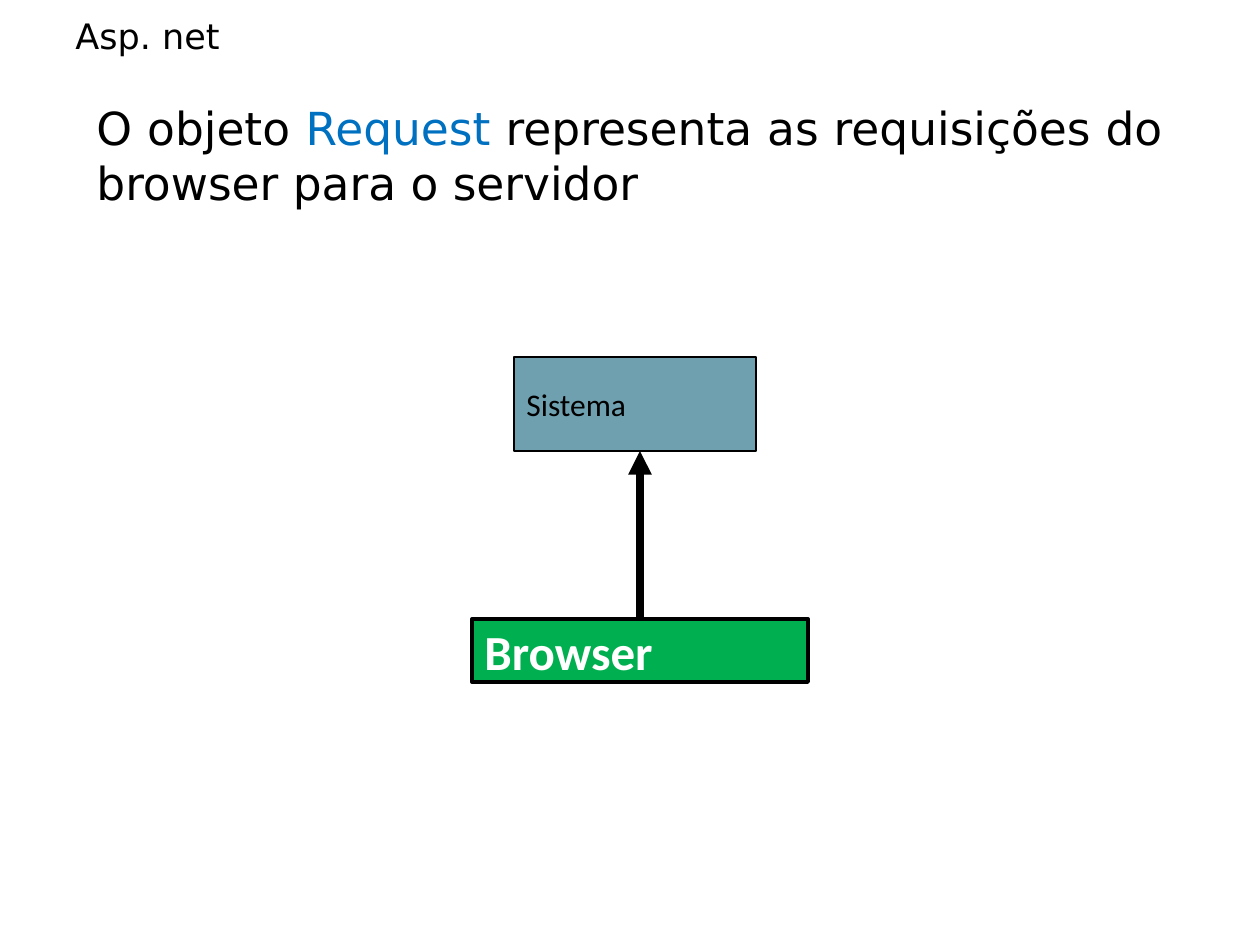
"""Build the slide on the Request object, with the browser calling the system."""
import pptx
import pptx.dml.color
import pptx.enum.dml
import pptx.enum.shapes
import pptx.enum.text
import pptx.oxml
import pptx.oxml.ns
import pptx.util

BLACK = "000000"
TITLE = [("Asp. net", BLACK)]
BODY = [
    ("O objeto ", BLACK),
    ("Request", "0070C0"),
    (" representa as requisições do browser para o servidor", BLACK),
]
TEXTS = [
    {"box": (63, 0, 1102, 63), "runs": TITLE, "size": 20,
     "format": {"line_spacing": 1.2}},
    {"box": (84, 94, 1092, 122), "runs": BODY, "size": 26,
     "format": {"alignment": pptx.enum.text.PP_ALIGN.JUSTIFY,
                "space_before": pptx.util.Pt(3)}},
]
NODES = [
    {"box": (514, 357, 242, 94), "runs": [("Sistema", BLACK)], "size": 18,
     "bold": False, "fill": "6EA0B0", "line": 1.5},
    {"box": (472, 619, 336, 63), "runs": [("Browser", "FFFFFF")], "size": 28,
     "bold": True, "fill": "00B050", "line": 2.25},
]


def px(n):
    return pptx.util.Emu(round(n * 914400 / 126))


def rgb(value):
    return pptx.dml.color.RGBColor.from_string(value)


def write(tf, runs, size, font, bold=False):
    tf.word_wrap = True
    p = tf.paragraphs[0]
    p.alignment = pptx.enum.text.PP_ALIGN.LEFT
    for text, color in runs:
        r = p.add_run()
        r.text = text
        r.font.name, r.font.size, r.font.bold = font, pptx.util.Pt(size), bold
        r.font.color.rgb = rgb(color)
    return p


def add_text(s, item):
    tf = s.shapes.add_textbox(*map(px, item["box"])).text_frame
    p = write(tf, item["runs"], item["size"], "DejaVu Sans")
    tf.auto_size = pptx.enum.text.MSO_AUTO_SIZE.SHAPE_TO_FIT_TEXT
    for name, value in item["format"].items():
        setattr(p, name, value)


def add_node(s, item):
    sp = s.shapes.add_shape(
        pptx.enum.shapes.MSO_SHAPE.RECTANGLE, *map(px, item["box"]))
    sp.shadow.inherit = False
    sp.fill.solid()
    sp.fill.fore_color.rgb = rgb(item["fill"])
    sp.line.color.rgb = rgb(BLACK)
    sp.line.width = pptx.util.Pt(item["line"])
    sp.text_frame.vertical_anchor = pptx.enum.text.MSO_ANCHOR.MIDDLE
    write(sp.text_frame, item["runs"], item["size"], "Calibri", item["bold"])


def add_arrow(s, upper, lower):
    x = lower[0] + lower[2] / 2
    arrow = s.shapes.add_connector(
        pptx.enum.shapes.MSO_CONNECTOR.STRAIGHT,
        px(x), px(lower[1]), px(x), px(upper[1] + upper[3]))
    arrow.line.color.rgb = rgb(BLACK)
    arrow.line.width = pptx.util.Pt(4.5)
    ns = pptx.oxml.ns.nsdecls("a")
    arrow.line._get_or_add_ln().append(
        pptx.oxml.parse_xml(f'<a:tailEnd {ns} type="triangle"/>'))
    arrow._element.spPr.append(pptx.oxml.parse_xml(f"<a:effectLst {ns}/>"))


def main():
    prs = pptx.Presentation()
    prs.slide_width, prs.slide_height = px(1260), px(945)
    s = prs.slides.add_slide(prs.slide_layouts[6])
    for item in TEXTS:
        add_text(s, item)
    for item in NODES:
        add_node(s, item)
    add_arrow(s, *(item["box"] for item in NODES))
    prs.save("out.pptx")


if __name__ == "__main__":
    main()
